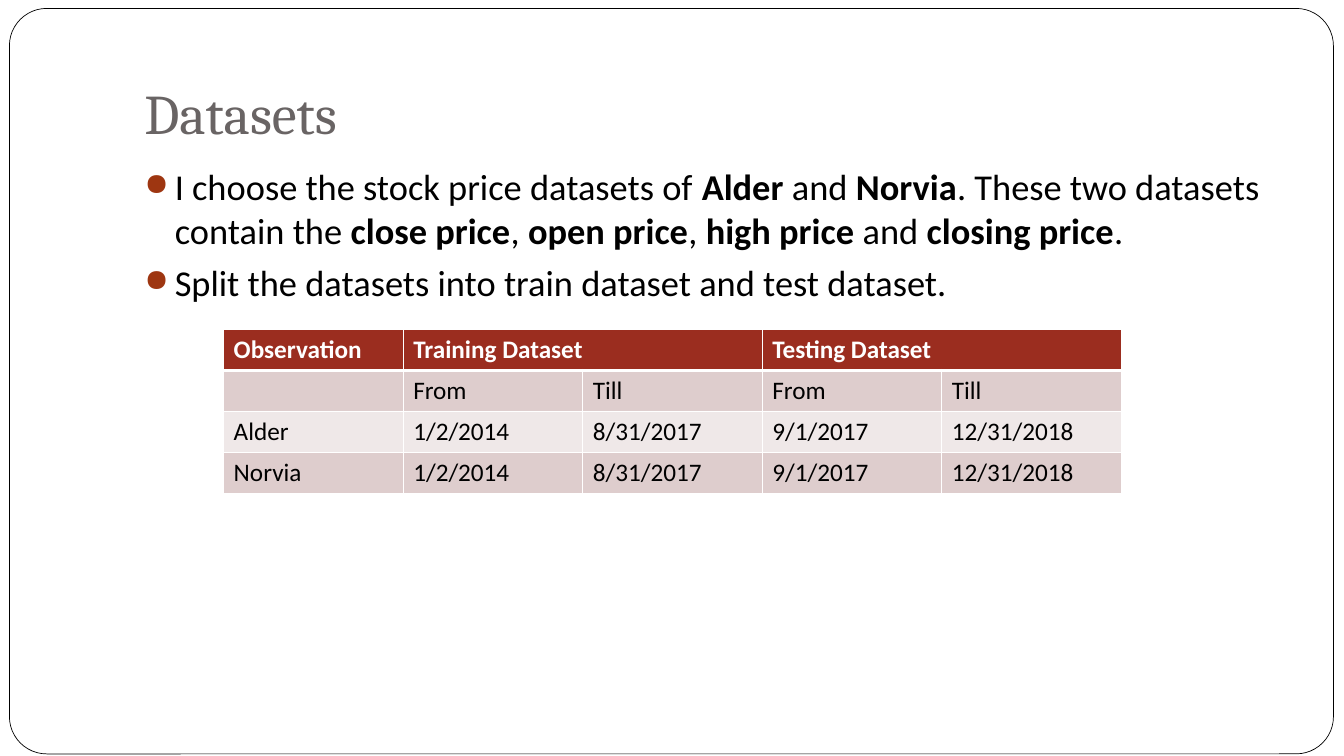
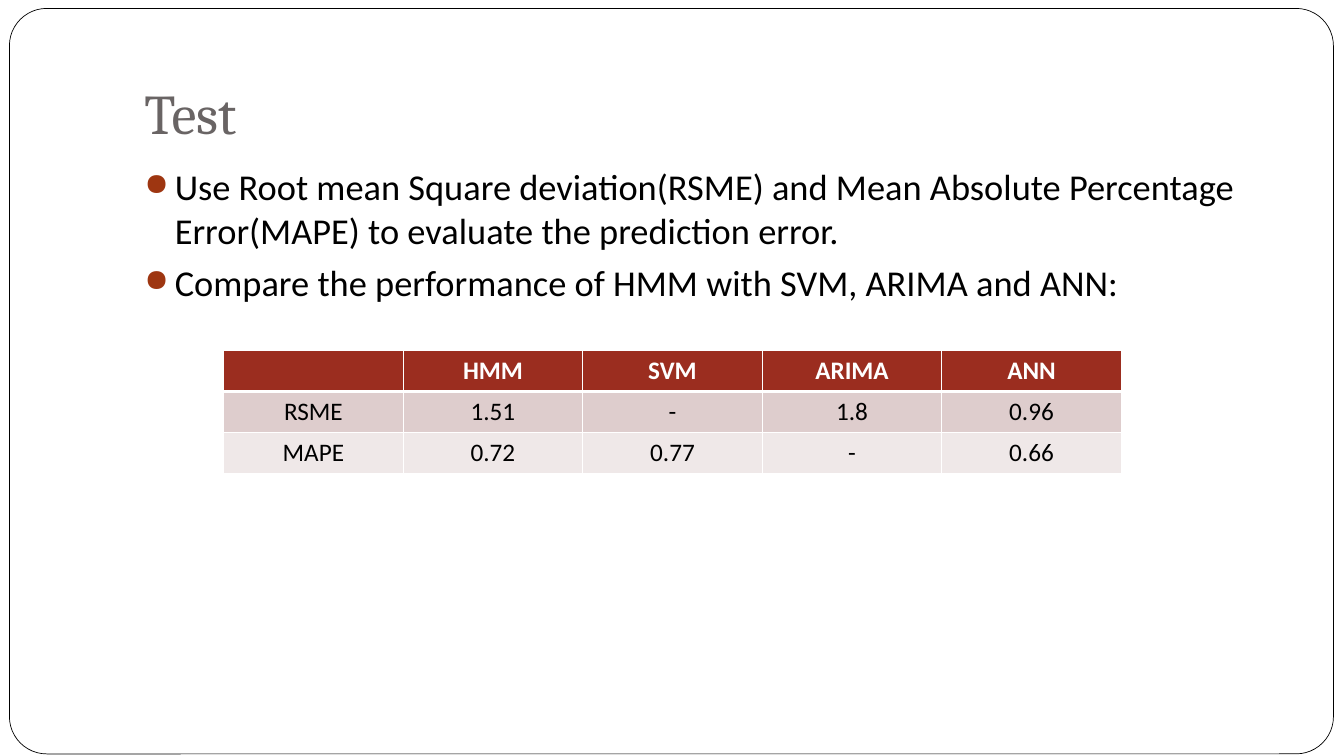
from pptx import Presentation, util as u
from pptx.dml import color
from pptx.enum import shapes, text
from pptx.oxml import parse_xml
from pptx.oxml.ns import nsdecls

PX = 9525
HEAD, DARK, LIGHT = "9B2D1F", "DECDCD", "EFE8E8"
WHITE, BLACK, GREY, RUST = "FFFFFF", "000000", "696464", "9E3611"
FRAME = (9, 8, 1261, 710)
TITLE = (128, 29, 1088, 120)
BODY = (128, 152, 1088, 480)
COL, ROW = 171, 39


def px(*nums):
    return [u.Emu(n * PX) for n in nums]


def rgb(code):
    return color.RGBColor.from_string(code)


def style(para, name, size, code, bold=None):
    font = para.font
    font.name, font.size, font.bold = name, u.Pt(size), bold
    font.color.rgb = rgb(code)


def frame(slide, box):
    card = slide.shapes.add_shape(shapes.MSO_SHAPE.ROUNDED_RECTANGLE, *px(*box))
    card.adjustments[0] = 0.05
    card.shadow.inherit = False
    card.fill.solid()
    card.fill.fore_color.rgb = rgb(WHITE)
    card.line.color.rgb = rgb(BLACK)
    card.line.width = u.Pt(0.5)


def title(slide, box, words):
    area = slide.shapes.add_textbox(*px(*box)).text_frame
    area.word_wrap = True
    area.vertical_anchor = text.MSO_ANCHOR.BOTTOM
    area.margin_bottom, = px(10)
    para = area.paragraphs[0]
    para.text = words
    style(para, "Cambria", 40, GREY)


def bullet(para):
    para.space_before = u.Pt(5.8)
    props = para._p.get_or_add_pPr()
    indent, = px(29)
    props.set("marL", str(indent))
    props.set("indent", str(-indent))
    for part in (f'<a:buClr {nsdecls("a")}><a:srgbClr val="{RUST}"/></a:buClr>',
                 f'<a:buSzPct {nsdecls("a")} val="85000"/>',
                 f'<a:buChar {nsdecls("a")} char="●"/>'):
        props.append(parse_xml(part))


def body(slide, box, points):
    area = slide.shapes.add_textbox(*px(*box)).text_frame
    area.word_wrap = True
    for i, point in enumerate(points):
        para = area.add_paragraph() if i else area.paragraphs[0]
        bullet(para)
        style(para, "Calibri", 26, BLACK)
        for j, part in enumerate(point.split("*")):
            run = para.add_run()
            run.text = part
            if j % 2:
                run.font.bold = True


def border(cell, row):
    props = cell._tc.get_or_add_tcPr()
    widths = {"L": 1, "R": 1, "T": 3 if row == 1 else 1, "B": 1 if row else 3}
    for i, (side, width) in enumerate(widths.items()):
        props.insert(i, parse_xml(
            f'<a:ln{side} {nsdecls("a")} w="{u.Pt(width)}"><a:solidFill>'
            f'<a:srgbClr val="{WHITE}"/></a:solidFill></a:ln{side}>'))


def table(slide, left, top, rows, align, spans=()):
    count, wide = len(rows), len(rows[0])
    size = px(left, top, wide * COL, count * ROW)
    grid = slide.shapes.add_table(count, wide, *size).table
    for col in grid.columns:
        col.width, = px(COL)
    for r, row in enumerate(rows):
        grid.rows[r].height, = px(ROW)
        for c, words in enumerate(row):
            cell = grid.cell(r, c)
            cell.fill.solid()
            cell.fill.fore_color.rgb = rgb((DARK if r % 2 else LIGHT) if r else HEAD)
            border(cell, r)
            para = cell.text_frame.paragraphs[0]
            para.text = words
            para.alignment = align
            style(para, "Calibri", 18, BLACK if r else WHITE, r == 0)
    for c in spans:
        grid.cell(0, c).merge(grid.cell(0, c + 1))


def page(deck, name, points, top, rows, align, spans=()):
    slide = deck.slides.add_slide(deck.slide_layouts[6])
    frame(slide, FRAME)
    title(slide, TITLE, name)
    body(slide, BODY, points)
    table(slide, 213, top, rows, align, spans)


def main():
    deck = Presentation()
    deck.slide_width, deck.slide_height = px(1280, 720)
    dates = ["1/2/2014", "8/31/2017", "9/1/2017", "12/31/2018"]
    page(deck, "Datasets",
         ["I choose the stock price datasets of *Alder* and *Norvia*. These two "
          "datasets contain the *close price*, *open price*, *high price *and "
          "*closing price*.",
          "Split the datasets into train dataset and test dataset."],
         314,
         [["Observation", "Training Dataset", "", "Testing Dataset", ""],
          ["", "From", "Till", "From", "Till"],
          ["Alder", *dates],
          ["Norvia", *dates]],
         text.PP_ALIGN.LEFT, (1, 3))
    page(deck, "Test",
         ["Use Root mean Square deviation(RSME) and Mean Absolute Percentage "
          "Error(MAPE) to evaluate the prediction error.",
          "Compare the performance of HMM with SVM, ARIMA and ANN:"],
         334,
         [["", "HMM", "SVM", "ARIMA", "ANN"],
          ["RSME", "1.51", "-", "1.8", "0.96"],
          ["MAPE", "0.72", "0.77", "-", "0.66"]],
         text.PP_ALIGN.CENTER)
    deck.save("out.pptx")


if __name__ == "__main__":
    main()
